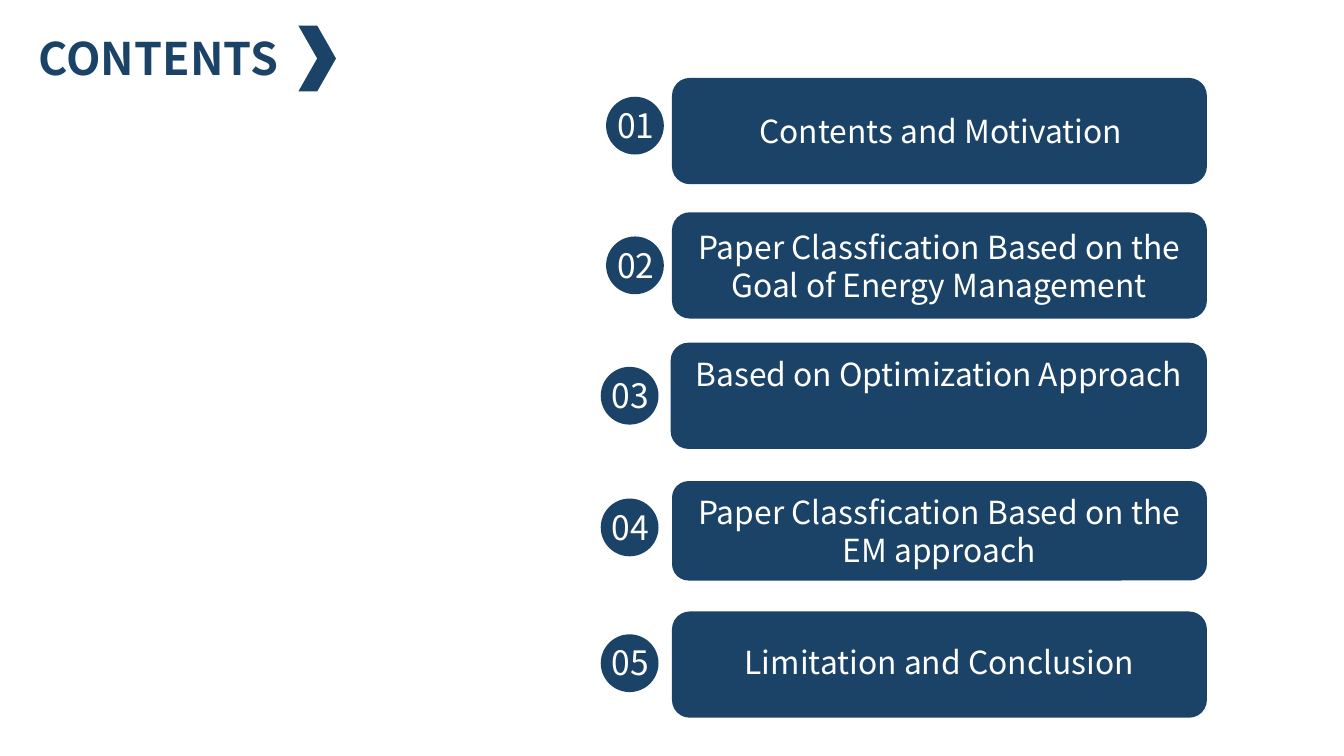
from pptx import Presentation
from pptx.dml.color import RGBColor
from pptx.enum.shapes import MSO_SHAPE
from pptx.enum.text import MSO_ANCHOR, PP_ALIGN
from pptx.util import Inches, Pt

COLUMNS, ROWS = 100, 56.25
CELL = Inches(0.1)
NAVY, WHITE = "1B4367", "FFFFFF"
FONT = "Noto Sans CJK SC"
BADGE_SIZE = 4.3

CHAPTERS = [
    ("Contents and Motivation", 45.1, 7.2, (50, 5.8, 39.8, 7.9), (50.1, 7.8)),
    ("Paper Classfication Based on the Goal of Energy Management",
     45.1, 17.6, (50, 15.8, 39.8, 7.9), None),
    ("Based on Optimization Approach", 44.7, 27.3, (49.9, 25.5, 39.9, 7.9), None),
    ("Paper Classfication Based on the EM approach",
     44.7, 37.1, (50, 35.8, 39.8, 7.4), None),
    ("Limitation and Conclusion", 44.7, 47.2, (50, 45.5, 39.8, 7.9), (50, 47.3)),
]
TOP_ALIGNED = {3}


def color(hex_value):
    return RGBColor.from_string(hex_value)


def grid(*cells):
    return [round(cell * CELL) for cell in cells]


def write(holder, text, size=17, ink=WHITE, bold=False,
          align=PP_ALIGN.CENTER, anchor=MSO_ANCHOR.TOP):
    frame = holder.text_frame
    frame.word_wrap = True
    frame.vertical_anchor = anchor
    paragraph = frame.paragraphs[0]
    paragraph.alignment = align
    run = paragraph.add_run()
    run.text = text
    run.font.name = FONT
    run.font.size = Pt(size)
    run.font.bold = bold
    run.font.color.rgb = color(ink)


def add_label(shapes, area, text, **text_format):
    write(shapes.add_textbox(*grid(*area)), text, **text_format)


def add_panel(shapes, preset, area):
    panel = shapes.add_shape(preset, *grid(*area))
    panel.shadow.inherit = False
    panel.fill.solid()
    panel.fill.fore_color.rgb = color(NAVY)
    panel.line.fill.background()
    return panel


def add_heading(shapes):
    add_label(shapes, (1.9, 1.8, 23.1, 5), "CONTENTS",
              size=24, ink=NAVY, bold=True, align=PP_ALIGN.LEFT)
    add_panel(shapes, MSO_SHAPE.CHEVRON, (22.2, 1.9, 2.8, 4.9))


def add_badge(shapes, number, left, top):
    badge = shapes.add_group_shape().shapes
    add_panel(badge, MSO_SHAPE.OVAL, (left, top, BADGE_SIZE, BADGE_SIZE))
    add_label(badge, (left - 0.4, top + 0.1, 5.2, 4), f"{number:02}", size=18)


def add_chapter(shapes, number, title, badge_left, badge_top, area, title_corner):
    panel = add_panel(shapes, MSO_SHAPE.ROUNDED_RECTANGLE, area)
    if title_corner:
        add_label(shapes, (*title_corner, 39.8, 3.9), title)
    else:
        anchor = MSO_ANCHOR.TOP if number in TOP_ALIGNED else MSO_ANCHOR.MIDDLE
        write(panel, title, anchor=anchor)
    add_badge(shapes, number, badge_left, badge_top)


def main():
    deck = Presentation()
    deck.slide_width, deck.slide_height = grid(COLUMNS, ROWS)
    shapes = deck.slides.add_slide(deck.slide_layouts[6]).shapes
    add_heading(shapes)
    for number, chapter in enumerate(CHAPTERS, start=1):
        add_chapter(shapes, number, *chapter)
    deck.save("out.pptx")


if __name__ == "__main__":
    main()
